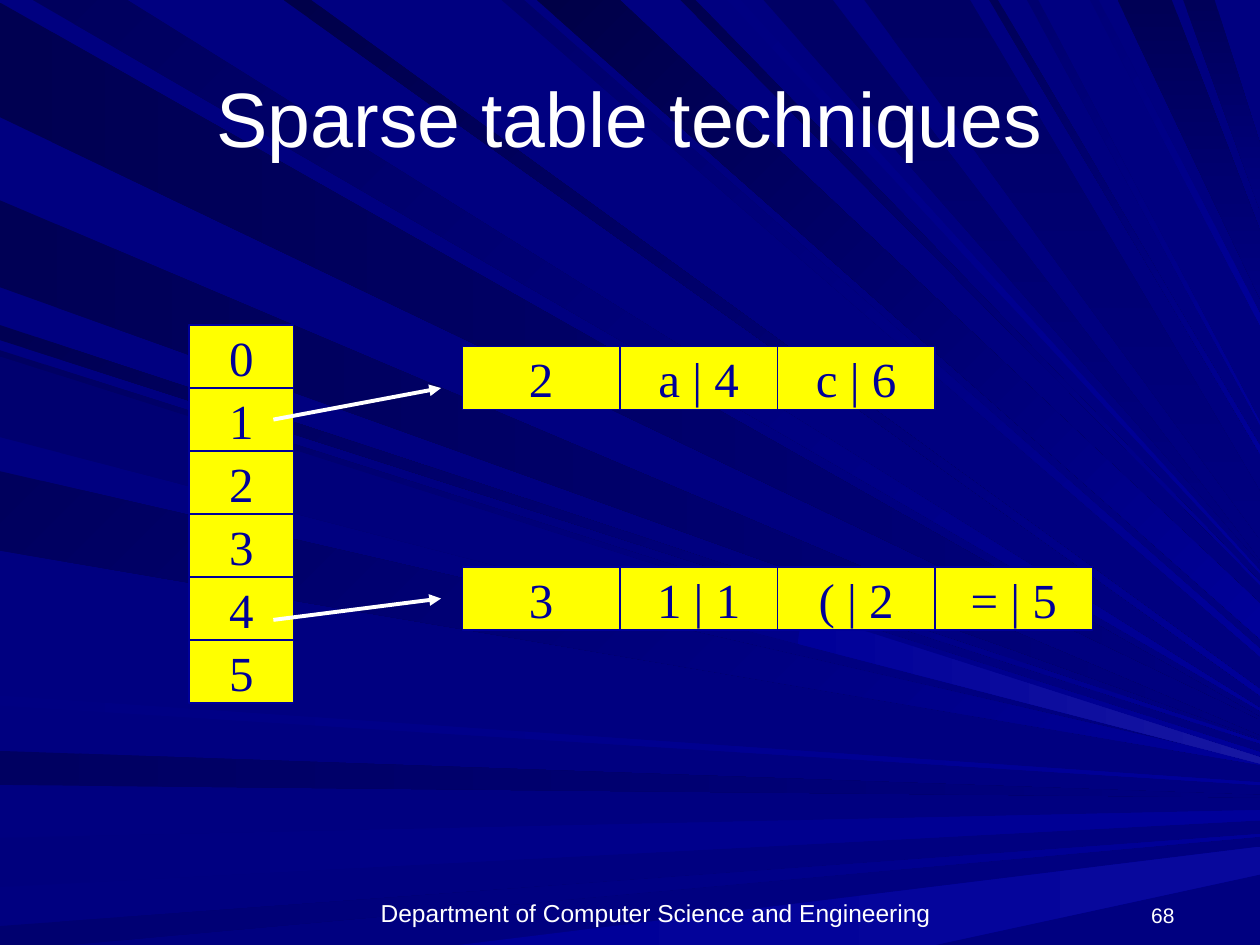
from typing import NamedTuple

from lxml import etree
from pptx import Presentation
from pptx import util as u
from pptx.dml.color import RGBColor
from pptx.enum import shapes, text
from pptx.oxml.ns import qn

PX = 9144  # EMU in one px, 100 px to the inch
WIDTH, HEIGHT = 1000, 750

COLORS = {
    "background": "000080",
    "ray": "000099",
    "glow": "1717A2",
    "faint glow": "08089C",
    "cell": "FFFF00",
    "white": "FFFFFF",
}
BASE, EDGE = COLORS["background"], COLORS["ray"]


class Ray(NamedTuple):
    """A wedge from the left or top edge to the height "far" on the right edge."""
    near: int
    near_end: int
    far: int
    start: str
    end: str = EDGE
    angle: int = 0  # clockwise degrees
    spread: int = 2  # width at the right edge


class Label(NamedTuple):
    content: str
    left: int
    top: int
    width: int
    height: int
    size: int
    align: text.PP_ALIGN
    anchor: text.MSO_ANCHOR


class CellRun(NamedTuple):
    values: list[str]
    left: int
    top: int
    width: int
    step_x: int = 0
    step_y: int = 0


class Arrow(NamedTuple):
    start: tuple[int, int]
    end: tuple[int, int]


LEFT_RAYS = [
    Ray(2, 93, 569, "000051", BASE),
    Ray(596, 623, 631, "000061", BASE),
    Ray(665, 704, 643, "00007D", spread=8),
    Ray(735, 755, 662, "00006F"),
    Ray(258, 270, 588, "000053", angle=45),
    Ray(159, 228, 584, "000055", BASE),
    Ray(278, 342, 597, "000061", angle=45, spread=5),
    Ray(374, 437, 605, "00005D", angle=45),
    Ray(552, 560, 621, "000082"),
    Ray(283, 347, 601, "00006F", spread=5),
]
TOP_RAYS = [
    Ray(26, 101, 562, "00005D", angle=45),
    Ray(398, 416, 515, "00006B", angle=45, spread=6),
    Ray(426, 492, 479, "000047", angle=45, spread=28),
    Ray(540, 552, 462, "00004F", angle=45),
    Ray(606, 661, 445, "000065", BASE, 90),
    Ray(887, 930, 183, "000055", BASE, 90, 54),
    Ray(939, 964, 114, "000059", BASE, 90, 53),
    Ray(225, 247, 547, "00004A", angle=45, spread=5),
    Ray(577, 588, 453, "000082", angle=45),
    Ray(686, 770, 390, "000065", BASE, 90, 38),
    Ray(785, 792, 354, "000058", angle=45, spread=6),
    Ray(815, 824, 335, "00006F", angle=45),
    Ray(865, 872, 249, "000079", angle=45, spread=9),
]
BRIGHT_BEAM = [(637, 485), (633, 511), (WIDTH, 606), (WIDTH, 601)]
LOWER_BEAM = [(364, HEIGHT), (742, HEIGHT), (WIDTH, 694), (WIDTH, 672), (756, 702)]

LABELS = [
    Label("Sparse table techniques", 50, 30, 900, 125, 44,
          text.PP_ALIGN.CENTER, text.MSO_ANCHOR.MIDDLE),
    Label("Department of Computer Science and Engineering", 183, 708, 675, 33, 14,
          text.PP_ALIGN.CENTER, text.MSO_ANCHOR.BOTTOM),
    Label("68", 875, 708, 67, 33, 12, text.PP_ALIGN.RIGHT, text.MSO_ANCHOR.BOTTOM),
]

CELL_HEIGHT = 50
CELL_RUNS = [
    CellRun(list("012345"), 150, 258, 83, step_y=CELL_HEIGHT),
    CellRun(["2", "a | 4", "c | 6"], 367, 275, 125, step_x=125),
    CellRun(["3", "1 | 1", "( | 2", "= | 5"], 367, 450, 125, step_x=125),
]

ARROWS = [Arrow((217, 333), (350, 308)), Arrow((217, 492), (350, 475))]


def rgb(value: str) -> RGBColor:
    return RGBColor.from_string(value)


def emu(*lengths: int) -> list[u.Emu]:
    return [u.Emu(length * PX) for length in lengths]


def write(box, content: str, size: int, font: str, color: str,
          align: text.PP_ALIGN, anchor: text.MSO_ANCHOR, wrap: bool) -> None:
    frame = box.text_frame
    frame.word_wrap = wrap
    frame.vertical_anchor = anchor
    para = frame.paragraphs[0]
    para.text = content
    para.alignment = align
    para.font.size = u.Pt(size)
    para.font.name = font
    para.font.color.rgb = rgb(color)


def draw_beam(page, points: list[tuple[int, int]], start: str, end: str,
              angle: int = 0) -> None:
    builder = page.shapes.build_freeform(*points[0], scale=PX)
    builder.add_line_segments(points[1:], close=True)
    shape = builder.convert_to_shape()
    shape.shadow.inherit = False
    shape.line.fill.background()
    shape.fill.gradient()
    shape.fill.gradient_angle = (360 - angle) % 360
    for stop, color in zip(shape.fill.gradient_stops, (start, end)):
        stop.color.rgb = rgb(color)


def draw_ray(page, ray: Ray, from_left: bool) -> None:
    if from_left:
        near = [(0, ray.near_end), (0, min(ray.near, HEIGHT))]
    else:
        near = [(ray.near, 0), (ray.near_end, 0)]
    far = [(WIDTH, ray.far), (WIDTH, ray.far + ray.spread)]
    draw_beam(page, near + far, ray.start, ray.end, ray.angle)


def draw_label(page, label: Label) -> None:
    box = page.shapes.add_textbox(*emu(label.left, label.top, label.width, label.height))
    write(box, label.content, label.size, "Arial", COLORS["white"],
          label.align, label.anchor, wrap=True)


def draw_cells(page, run: CellRun) -> None:
    for index, value in enumerate(run.values):
        left, top = run.left + index * run.step_x, run.top + index * run.step_y
        cell = page.shapes.add_shape(shapes.MSO_SHAPE.RECTANGLE,
                                     *emu(left, top, run.width, CELL_HEIGHT))
        cell.shadow.inherit = False
        cell.fill.solid()
        cell.fill.fore_color.rgb = rgb(COLORS["cell"])
        cell.line.color.rgb = rgb(COLORS["ray"])
        cell.line.width = u.Pt(1)
        write(cell, value, 28, "Times New Roman", COLORS["ray"],
              text.PP_ALIGN.CENTER, text.MSO_ANCHOR.MIDDLE, wrap=False)


def draw_arrow(page, arrow: Arrow) -> None:
    line = page.shapes.add_connector(shapes.MSO_CONNECTOR.STRAIGHT,
                                     *emu(*arrow.start, *arrow.end))
    line.line.color.rgb = rgb(COLORS["white"])
    line.line.width = u.Pt(2.25)
    outline = line._element.spPr.find(qn("a:ln"))
    etree.SubElement(outline, qn("a:tailEnd"), type="triangle")
    etree.SubElement(line._element.spPr, qn("a:effectLst"))


def main() -> None:
    deck = Presentation()
    deck.slide_width, deck.slide_height = emu(WIDTH, HEIGHT)
    page = deck.slides.add_slide(deck.slide_layouts[6])

    # Background with light rays
    page.background.fill.solid()
    page.background.fill.fore_color.rgb = rgb(BASE)
    for ray in LEFT_RAYS:
        draw_ray(page, ray, from_left=True)
    for ray in TOP_RAYS:
        draw_ray(page, ray, from_left=False)
    draw_beam(page, BRIGHT_BEAM, EDGE, COLORS["glow"])
    draw_beam(page, LOWER_BEAM, EDGE, COLORS["faint glow"])

    # Title and footer
    for label in LABELS:
        draw_label(page, label)

    # State index, its entry lists and the pointers between them
    for run in CELL_RUNS:
        draw_cells(page, run)
    for arrow in ARROWS:
        draw_arrow(page, arrow)

    deck.save("out.pptx")


if __name__ == "__main__":
    main()
